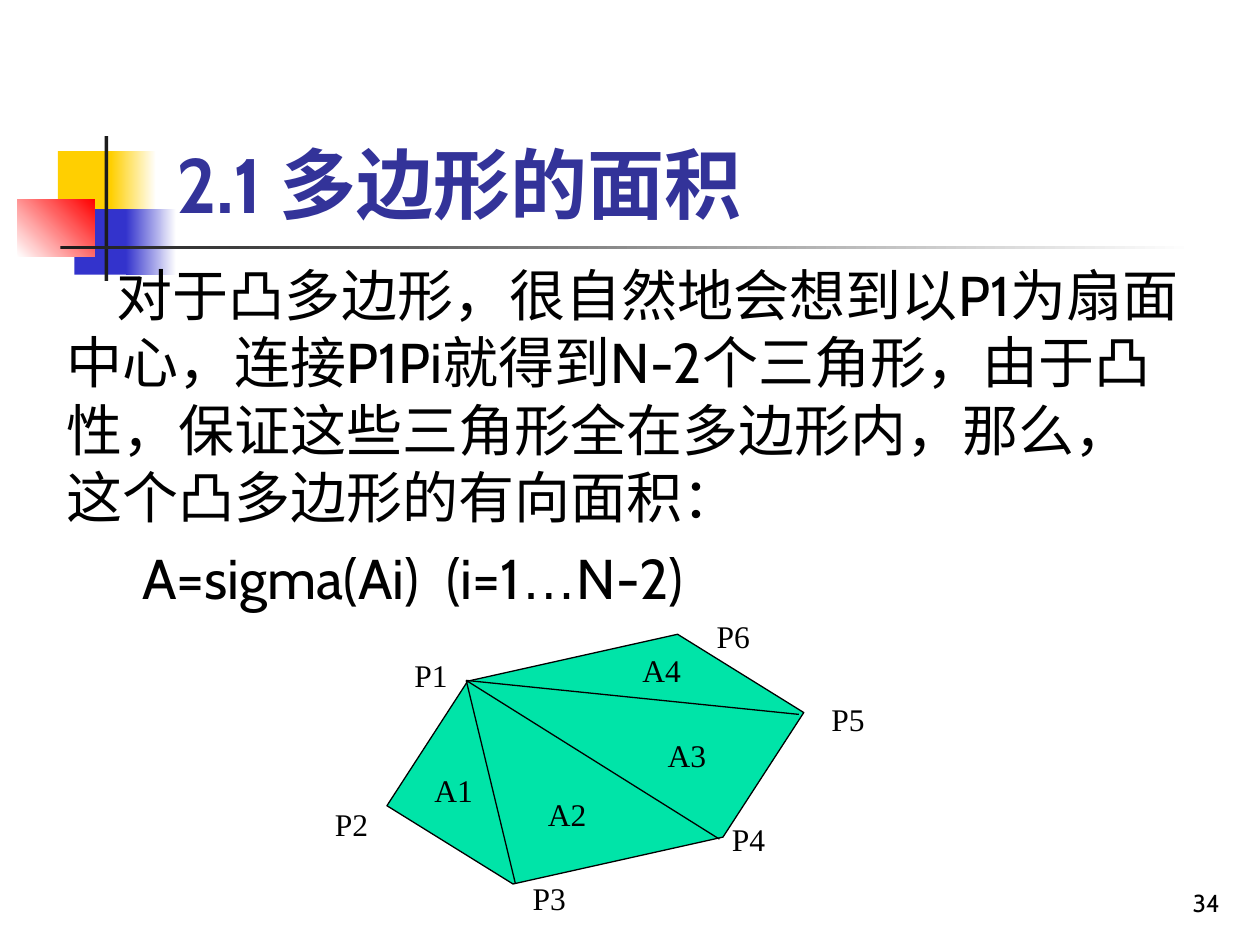
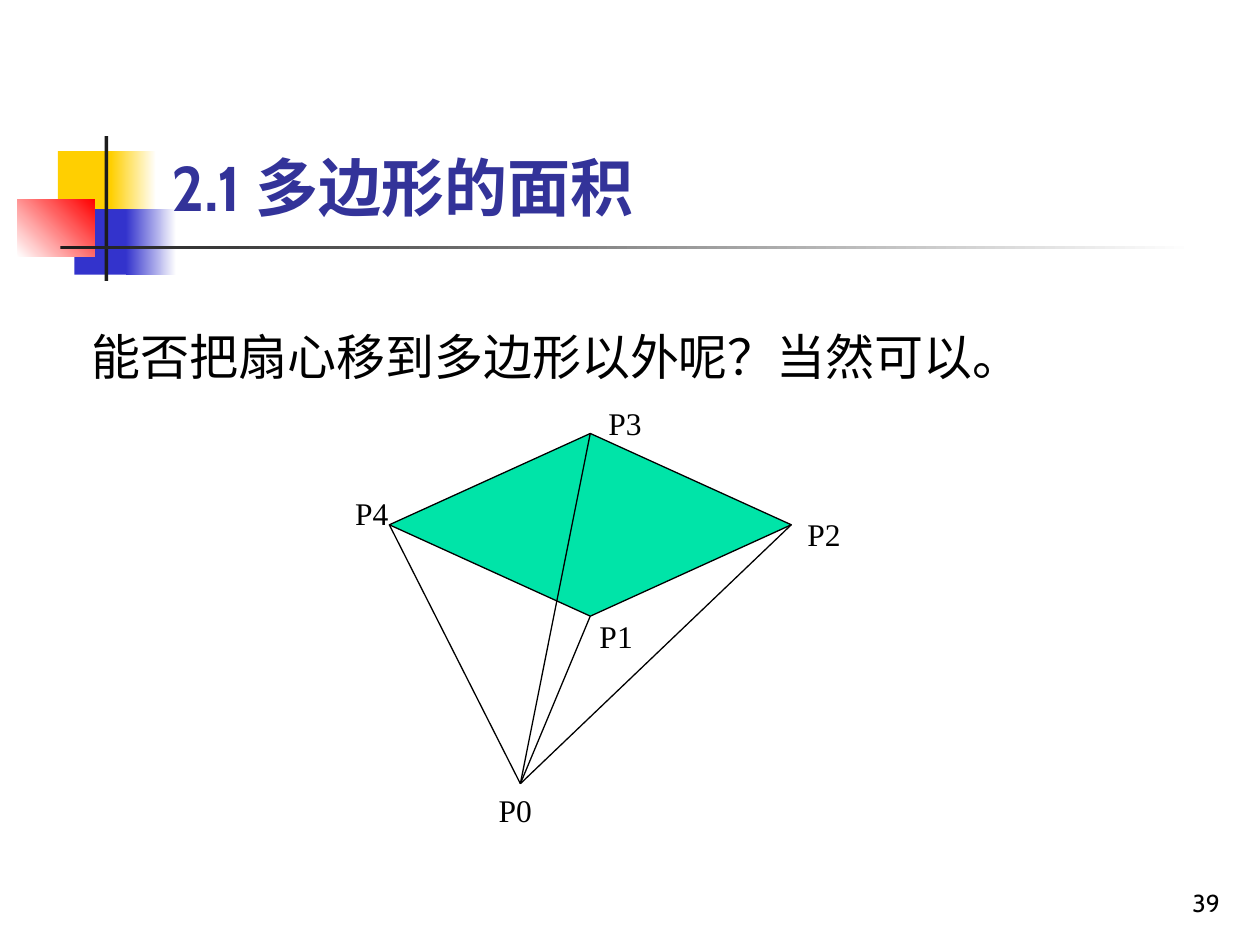
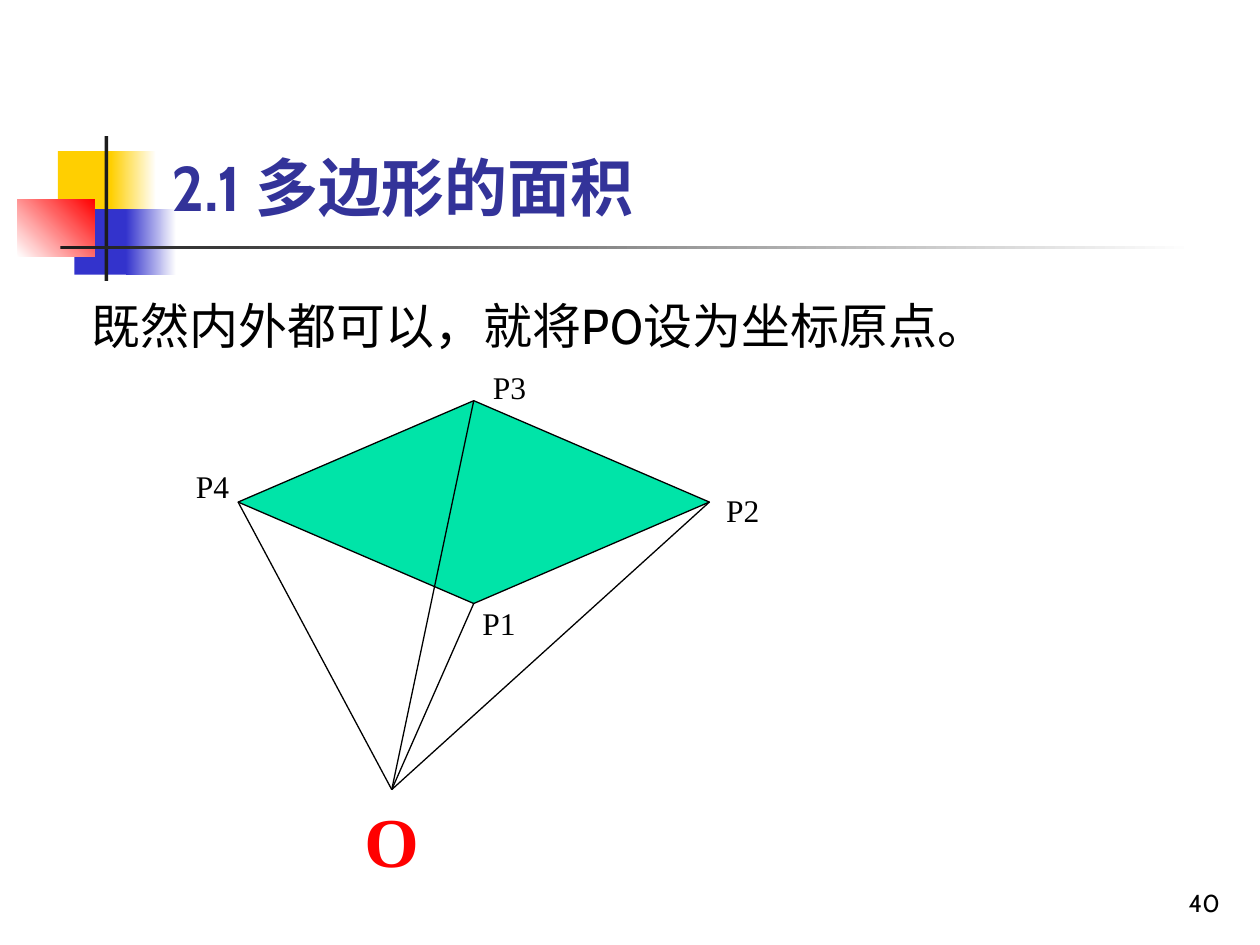
from lxml import etree
from pptx import Presentation
from pptx.dml.color import RGBColor
from pptx.enum.shapes import MSO_CONNECTOR, MSO_SHAPE
from pptx.enum.text import MSO_ANCHOR, PP_ALIGN
from pptx.oxml.ns import qn
from pptx.util import Pt

PX = 9144
RECT, DIAMOND, HEXAGON = MSO_SHAPE.RECTANGLE, MSO_SHAPE.DIAMOND, MSO_SHAPE.HEXAGON
STRAIGHT = MSO_CONNECTOR.STRAIGHT
TOP, BOTTOM = MSO_ANCHOR.TOP, MSO_ANCHOR.BOTTOM
LEFT, RIGHT = PP_ALIGN.LEFT, PP_ALIGN.RIGHT

BLACK, WHITE, RED = "000000", "FFFFFF", "FF0000"
YELLOW, BLUE, DARK = "FFCF01", "3333CC", "1C1C1C"
TITLE_BLUE, GREEN = "333399", "00E4A8"
SANS, SERIF, SYMBOL = "Cabin", "Times New Roman", "Arial"
TITLE = "2.1 多边形的面积"

DECORATION = [
    ((46, 120, 48, 52), [YELLOW], 0),
    ((88, 120, 36, 52), [YELLOW, WHITE], 0),
    ((59, 166, 46, 52), [BLUE], 0),
    ((100, 166, 40, 52), [BLUE, WHITE], 0),
    ((14, 158, 61, 46), [WHITE, RED], 45),
    ((83, 108, 3, 115), [DARK], 0),
    ((48, 195, 900, 3), [DARK, WHITE], 0),
]

FAN_SIZE = (319, 145)
FAN_APEX = (104, 278)
FAN_APEX_LABEL = (77, 279)
FAN_LABELS = {"P1": (157, 141), "P2": (322, 60), "P3": (164, -28), "P4": (-37, 43)}

HEXAGON_FAN_ENDS = [(106, 181), (268, 146), (331, 47)]
HEXAGON_LABELS = {
    "P1": (16, -4), "P2": (-47, 114), "P3": (110, 173), "P4": (268, 126),
    "P5": (347, 31), "P6": (256, -35),
    "A1": (32, 87), "A2": (122, 106), "A3": (217, 59), "A4": (197, -8),
}


def rgb(value):
    """Turn a hex string into a colour."""
    return RGBColor.from_string(value)


def emu(values):
    """Turn px lengths into EMU."""
    return [round(v * PX) for v in values]


def style_run(r, size, color=BLACK, font=SANS, bold=False):
    """Set the font of one run."""
    r.font.size = Pt(size)
    r.font.name = font
    r.font.bold = bold
    r.font.color.rgb = rgb(color)


def add_box(slide, box, anchor=TOP):
    """Add an empty wrapping text box and return its text frame."""
    tf = slide.shapes.add_textbox(*emu(box)).text_frame
    tf.word_wrap = True
    tf.vertical_anchor = anchor
    return tf


def add_text(slide, box, text, size, anchor=TOP, align=LEFT, **font):
    """Add a one-paragraph text box."""
    p = add_box(slide, box, anchor).paragraphs[0]
    p.text = text
    p.alignment = align
    style_run(p.runs[0], size, **font)


def add_shape(slide, kind, box, colors, angle=0, outlined=False):
    """Add a preset shape with a solid or two-colour gradient fill."""
    sp = slide.shapes.add_shape(kind, *emu(box))
    sp.shadow.inherit = False
    if len(colors) == 1:
        sp.fill.solid()
        sp.fill.fore_color.rgb = rgb(colors[0])
    else:
        sp.fill.gradient()
        sp.fill.gradient_angle = angle
        for stop, color, position in zip(sp.fill.gradient_stops, colors, (0, 1)):
            stop.color.rgb = rgb(color)
            stop.position = position
    if outlined:
        sp.line.color.rgb = rgb(BLACK)
        sp.line.width = Pt(0.75)
    else:
        sp.line.fill.background()
    return sp


def add_line(slide, start, end):
    """Add a thin black straight line."""
    line = slide.shapes.add_connector(STRAIGHT, *emu((*start, *end)))
    line.line.color.rgb = rgb(BLACK)
    line.line.width = Pt(0.75)
    etree.SubElement(line._element.spPr, qn("a:effectLst"))
    return line


def add_frame(prs, number, title_box, title_size):
    """Add a slide with the shared decoration, page number and title."""
    slide = prs.slides.add_slide(prs.slide_layouts[6])
    for box, colors, angle in DECORATION:
        add_shape(slide, RECT, box, colors, angle)
    add_text(slide, (770, 683, 208, 50), str(number), 14, BOTTOM, RIGHT)
    add_text(slide, title_box, TITLE, title_size, BOTTOM, color=TITLE_BLUE, bold=True)
    return slide


def add_area_text(slide, box):
    """Add the explanation and the area formula."""
    tf = add_box(slide, box)
    p = tf.paragraphs[0]
    p.text = ("对于凸多边形，很自然地会想到以P1为扇面中心，连接P1Pi就得到N-2个三角形，"
              "由于凸性，保证这些三角形全在多边形内，那么，这个凸多边形的有向面积：")
    p._p.get_or_add_pPr().set("indent", str(40 * PX))
    style_run(p.runs[0], 32)
    p = tf.add_paragraph()
    p.space_before = Pt(8)
    p._p.get_or_add_pPr().set("marL", str(60 * PX))
    for text in ("A=sigma(Ai)", " ", "(i=1", "…", "N-2)"):
        r = p.add_run()
        r.text = text
        style_run(r, 32, font=SYMBOL if text == "…" else SANS)
        if text == " ":
            r._r.get_or_add_rPr().set("spc", "800")


def add_hexagon_figure(slide, box):
    """Add the hexagon cut into triangles from P1."""
    x, y = box[:2]
    sp = add_shape(slide, HEXAGON, box, [GREEN], outlined=True)
    sp.adjustments[0] = 0.51
    sp.rotation = 347.4
    for dx, dy in HEXAGON_FAN_ENDS:
        add_line(slide, (x + 67, y + 20), (x + dx, y + dy))
    for text, (dx, dy) in HEXAGON_LABELS.items():
        add_text(slide, (x + dx, y + dy, 63, 40), text, 18, font=SERIF)


def add_fan_figure(slide, box, apex_label, apex_height=40, apex_size=18, **apex_font):
    """Add a diamond whose corners are joined to a point outside it."""
    x, y, w, h = box
    sx, sy = w / FAN_SIZE[0], h / FAN_SIZE[1]

    def place(point):
        """Scale a point of the figure into the box."""
        return x + point[0] * sx, y + point[1] * sy

    diamond = add_shape(slide, DIAMOND, box, [GREEN], outlined=True)
    for corner in range(4):
        line = add_line(slide, place(FAN_APEX), (x, y))
        line.end_connect(diamond, corner)
    for text, point in FAN_LABELS.items():
        add_text(slide, (*place(point), 50 * sx, 40), text, 18, font=SERIF)
    add_text(slide, (*place(FAN_APEX_LABEL), 50 * sx, apex_height), apex_label,
             apex_size, font=SERIF, **apex_font)


def main():
    """Build the three slides."""
    prs = Presentation()
    prs.slide_width, prs.slide_height = emu((1000, 750))

    slide = add_frame(prs, 34, (130, 91, 701, 96), 44)
    add_area_text(slide, (43, 202, 902, 296))
    add_hexagon_figure(slide, (303, 520, 339, 165))

    slide = add_frame(prs, 39, (126, 107, 811, 76), 36)
    add_fan_figure(slide, (309, 344, 319, 145), "P0")
    add_text(slide, (63, 235, 811, 76), "能否把扇心移到多边形以外呢？当然可以。", 28, BOTTOM)

    slide = add_frame(prs, 40, (126, 99, 760, 84), 36)
    add_fan_figure(slide, (189, 318, 374, 161), "O", 77, 40, color=RED, bold=True)
    add_text(slide, (63, 210, 811, 76), "既然内外都可以，就将P0设为坐标原点。", 28, BOTTOM)

    prs.save("out.pptx")


if __name__ == "__main__":
    main()
